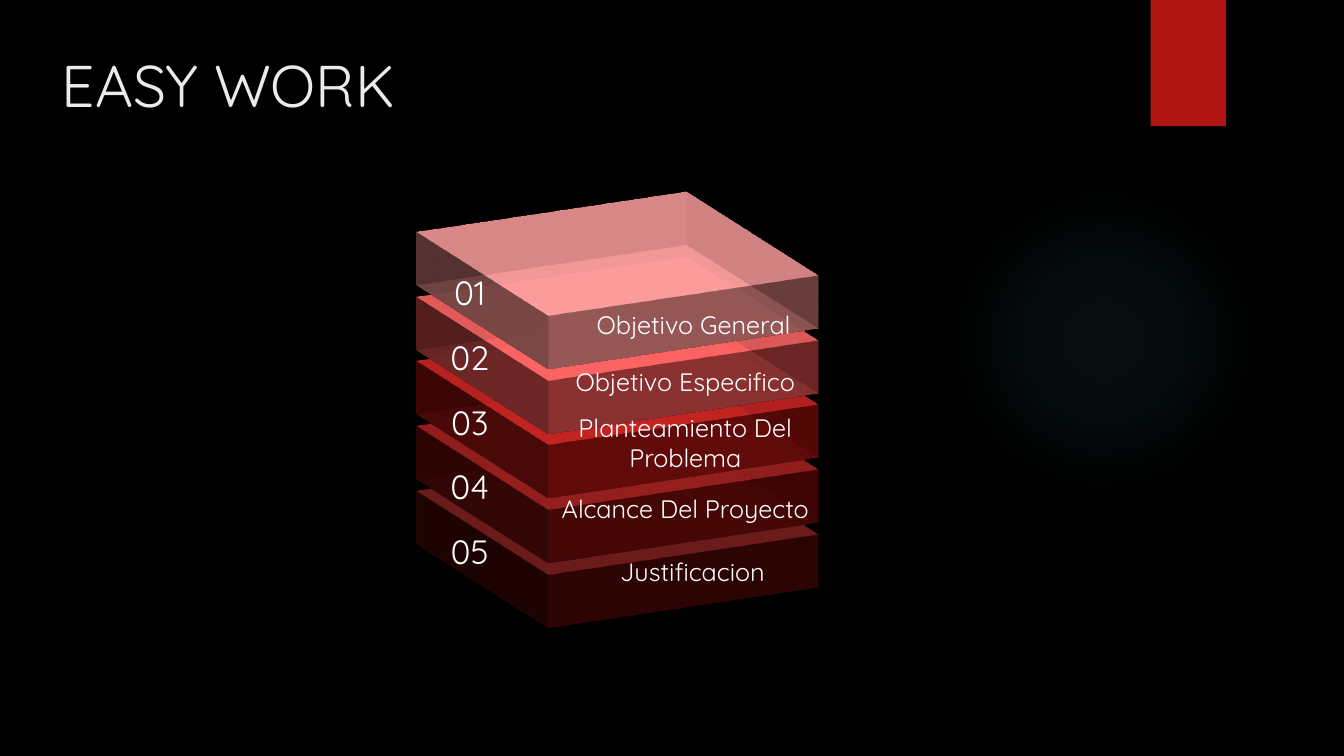
from lxml import etree
from pptx import Presentation
from pptx.dml.color import RGBColor
from pptx.enum import shapes, text
from pptx.oxml import ns
from pptx.util import Cm, Pt

TITLE = "EASY WORK"
FONT = "Quicksand"
COLORS = {"background": "000000", "title": "EBEBEB", "label": "FFFFFF",
          "tab": "B01513", "glow": "50B9C1"}

# label, centre x and y of the label (cm), slab colour, opacity %
LAYERS = [
    ("Objetivo General", 17.48, 8.18, "F38F8D", 80),
    ("Objetivo Especifico", 17.27, 9.6, "ED5654", 85),
    ("Planteamiento Del Problema", 17.27, 11.15, "B01513", 90),
    ("Alcance Del Proyecto", 17.27, 12.8, "84100E", 95),
    ("Justificacion", 17.45, 14.4, "580A09", 100),
]
GLOW_STOPS = [(0, 7), (36, 6), (69, 0)]  # position %, opacity %

# Slabs are squares turned in space and extruded
SLAB_LEFT, SLAB_TOP, SLAB_SIDE, STEP = 11.78, 2.6, 7.57, 1.63
THICKNESS = Pt(40)


def rgb(value):
    return RGBColor.from_string(value)


def add_child(parent, tag, **attributes):
    return etree.SubElement(parent, ns.qn(tag), **attributes)


def paint(sp, color, opacity=100):
    sp.shadow.inherit = False
    sp.line.fill.background()
    sp.fill.solid()
    sp.fill.fore_color.rgb = rgb(color)
    if opacity < 100:
        fill = sp._element.spPr.find(".//" + ns.qn("a:srgbClr"))
        add_child(fill, "a:alpha", val=str(opacity * 1000))


def paint_glow(sp):
    """Fill with a radial gradient that fades out from the centre."""
    paint(sp, COLORS["glow"])
    solid = sp._element.spPr.find(ns.qn("a:solidFill"))
    grad = etree.Element(ns.qn("a:gradFill"), rotWithShape="1")
    stops = add_child(grad, "a:gsLst")
    for pos, opacity in GLOW_STOPS:
        gs = add_child(stops, "a:gs", pos=str(pos * 1000))
        color = add_child(gs, "a:srgbClr", val=COLORS["glow"])
        add_child(color, "a:alpha", val=str(opacity * 1000))
    circle = add_child(grad, "a:path", path="circle")
    add_child(circle, "a:fillToRect", l="50000", t="50000", r="50000", b="50000")
    solid.getparent().replace(solid, grad)


def extrude(sp):
    """Turn the shape to an isometric view from above and give it thickness."""
    scene = add_child(sp._element.spPr, "a:scene3d")
    add_child(scene, "a:camera", prst="isometricOffAxis1Top")
    add_child(scene, "a:lightRig", rig="threePt", dir="t")
    add_child(sp._element.spPr, "a:sp3d", extrusionH=str(THICKNESS))


def add_block(sl, kind, left, top, width, height):
    return sl.shapes.add_shape(kind, Cm(left), Cm(top), Cm(width), Cm(height))


def write(tf, words, size, color, align):
    tf.word_wrap = True
    tf.vertical_anchor = text.MSO_ANCHOR.MIDDLE
    p = tf.paragraphs[0]
    p.alignment = align
    r = p.add_run()
    r.text = words
    r.font.name, r.font.size = FONT, Pt(size)
    r.font.color.rgb = rgb(color)


def add_label(sl, words, x, y, width, height, size):
    """Add centred text around the point x, y."""
    box = sl.shapes.add_textbox(Cm(x - width / 2), Cm(y - height / 2), Cm(width), Cm(height))
    tf = box.text_frame
    tf.margin_left = tf.margin_right = Cm(0.18)
    tf.margin_top = tf.margin_bottom = Cm(0.1)
    write(tf, words, size, COLORS["label"], text.PP_ALIGN.CENTER)


def main():
    prs = Presentation()
    prs.slide_width, prs.slide_height = Cm(33.87), Cm(19.05)
    sl = prs.slides.add_slide(prs.slide_layouts[5])
    sl.background.fill.solid()
    sl.background.fill.fore_color.rgb = rgb(COLORS["background"])

    paint_glow(add_block(sl, shapes.MSO_SHAPE.OVAL, 23.9, 4.65, 7.82, 7.82))
    paint(add_block(sl, shapes.MSO_SHAPE.RECTANGLE, 29, 0, 1.9, 3.18), COLORS["tab"])

    title = sl.shapes.title
    title.left, title.top, title.width, title.height = Cm(1.3), Cm(1.15), Cm(26.14), Cm(1.93)
    write(title.text_frame, TITLE, 42, COLORS["title"], text.PP_ALIGN.LEFT)

    for i, (_, _, _, color, opacity) in reversed(list(enumerate(LAYERS))):
        slab = add_block(sl, shapes.MSO_SHAPE.RECTANGLE,
                         SLAB_LEFT, SLAB_TOP + i * STEP, SLAB_SIDE, SLAB_SIDE)
        paint(slab, color, opacity)
        extrude(slab)
    for i, (words, x, y, *_) in enumerate(LAYERS):
        add_label(sl, words, x, y, 7.06, 1.22, 18)
        add_label(sl, f"{i + 1:02}", 11.84, 7.37 + i * STEP, 1.96, 1.22, 24)

    prs.save("out.pptx")


if __name__ == "__main__":
    main()
